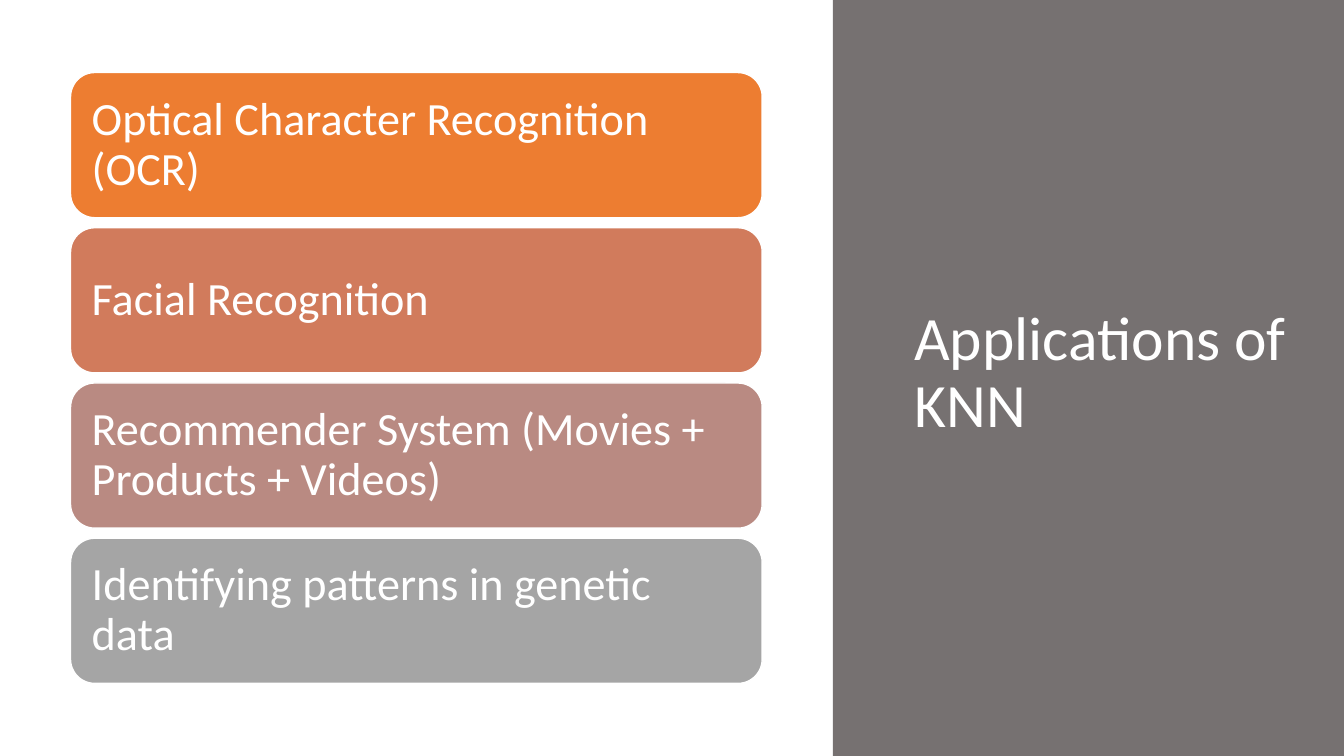
from pptx import Presentation
from pptx.dml.color import RGBColor
from pptx.enum.shapes import MSO_SHAPE
from pptx.enum.text import MSO_ANCHOR, PP_ALIGN
from pptx.util import Inches, Pt

RECTANGLE = MSO_SHAPE.RECTANGLE
ROUNDED_RECTANGLE = MSO_SHAPE.ROUNDED_RECTANGLE
MIDDLE = MSO_ANCHOR.MIDDLE
LEFT = PP_ALIGN.LEFT

WHITE = RGBColor(0xFF, 0xFF, 0xFF)
GRAY = RGBColor(0x76, 0x71, 0x71)
APPLICATIONS = [
    ("Optical Character Recognition (OCR)", RGBColor(0xED, 0x7D, 0x31)),
    ("Facial Recognition", RGBColor(0xD1, 0x7B, 0x5C)),
    ("Recommender System (Movies + Products + Videos)", RGBColor(0xB9, 0x8A, 0x82)),
    ("Identifying patterns in genetic data", RGBColor(0xA5, 0xA5, 0xA5)),
]


def set_attributes(target, values):
    for name, value in values.items():
        setattr(target, name, value)


def write_text(shape, text, size, margin):
    """Fill a shape with one left-aligned, vertically centred paragraph."""
    frame = shape.text_frame
    set_attributes(frame, {
        "word_wrap": True, "vertical_anchor": MIDDLE,
        "margin_left": margin, "margin_right": margin,
        "margin_top": margin, "margin_bottom": margin,
    })
    paragraph = frame.paragraphs[0]
    set_attributes(paragraph, {"text": text, "alignment": LEFT, "line_spacing": 0.9})
    font = paragraph.runs[0].font
    set_attributes(font, {"name": "Calibri", "size": Pt(size)})
    font.color.rgb = WHITE


def add_filled_shape(slide, kind, box, color):
    shape = slide.shapes.add_shape(kind, *box)
    shape.shadow.inherit = False
    shape.fill.solid()
    shape.fill.fore_color.rgb = color
    return shape


def add_title_panel(slide, left, top, width, height):
    # Gray background
    panel = add_filled_shape(slide, RECTANGLE, (left, top, width, height), GRAY)
    panel.line.fill.background()
    # Title
    title = slide.shapes.add_textbox(
        left + Inches(0.71), top + Inches(0.7), Inches(4.01), Inches(6.02))
    write_text(title, "Applications of KNN", 44, Inches(0.1))


def add_application_cards(slide, left, top, width, height):
    gap = Inches(0.1)
    count = len(APPLICATIONS)
    card_height = (height - gap * (count - 1)) // count
    for index, (text, color) in enumerate(APPLICATIONS):
        box = (left, top + index * (card_height + gap), width, card_height)
        card = add_filled_shape(slide, ROUNDED_RECTANGLE, box, color)
        card.line.color.rgb = WHITE
        card.line.width = Pt(1)
        write_text(card, text, 33, Inches(0.14))


def main():
    presentation = Presentation()
    presentation.slide_width = Inches(13.33)
    presentation.slide_height = Inches(7.5)
    slide = presentation.slides.add_slide(presentation.slide_layouts[6])
    add_title_panel(slide, Inches(8.26), 0, Inches(5.07), Inches(7.5))
    add_application_cards(slide, Inches(0.7), Inches(0.72), Inches(6.86), Inches(6.06))
    presentation.save("out.pptx")


if __name__ == "__main__":
    main()
